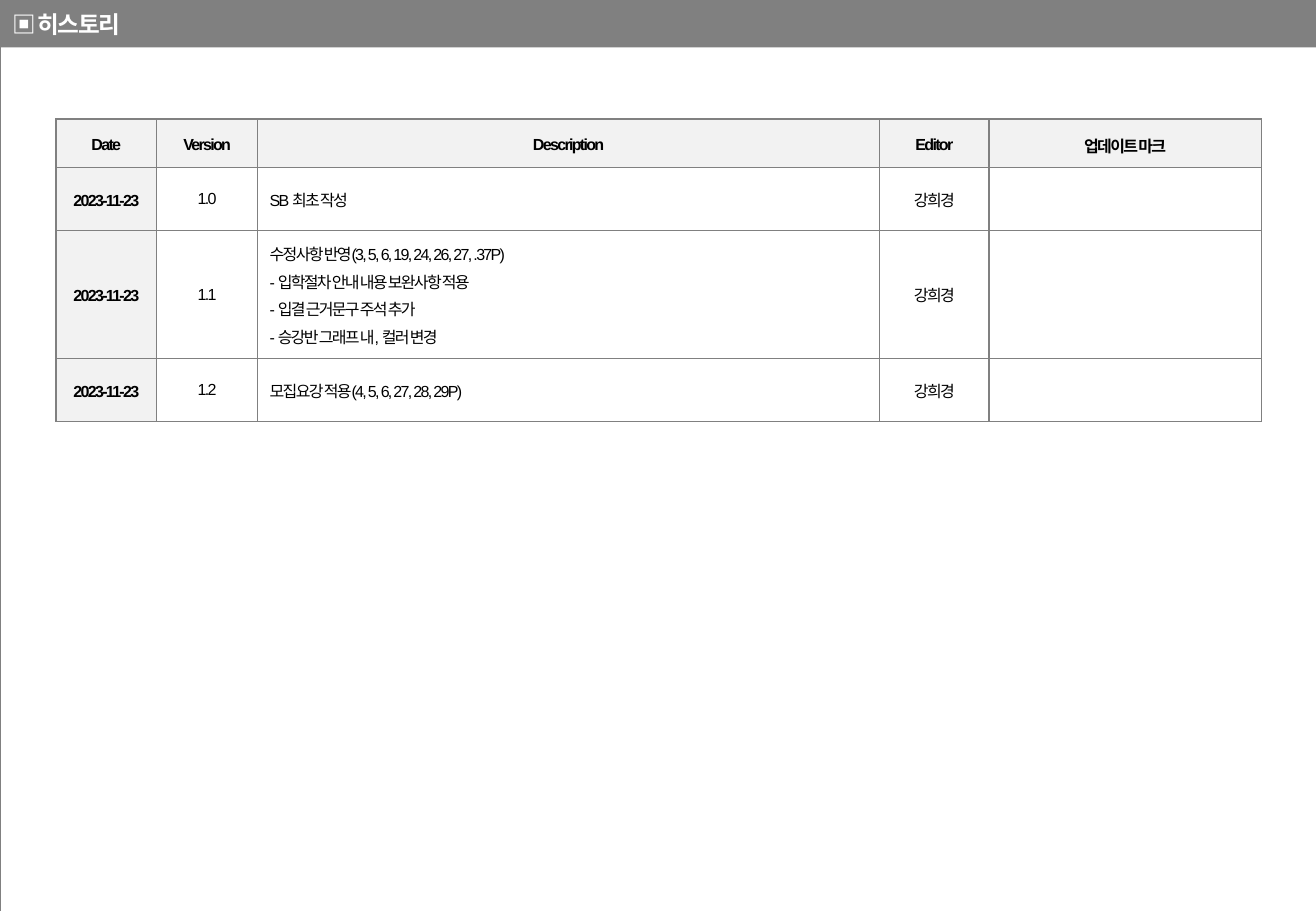
"""Build the revision history slide."""
from dataclasses import dataclass
from typing import NamedTuple

from lxml import etree
from pptx import Presentation
from pptx import util as u
from pptx.dml.color import RGBColor
from pptx.enum import text
from pptx.oxml import ns


@dataclass(frozen=True)
class Theme:
    grey: str = "808080"
    header: str = "F2F2F2"
    white: str = "FFFFFF"
    black: str = "000000"
    latin: str = "Arial"
    korean: str = "Noto Sans CJK KR"
    title_size: float = 14
    body_size: float = 9.5
    spacing: int = -100


class Revision(NamedTuple):
    date: str
    version: str
    description: str
    editor: str
    mark: str = ""


class Grid(NamedTuple):
    left: float
    top: float
    cols: list[float]
    rows: list[float]
    border: float


THEME = Theme()
HEADER = Revision("Date", "Version", "Description", "Editor", "업데이트 마크")
REVISIONS = [
    Revision("2023-11-23", "1.0", "SB 최초 작성", "강희경"),
    Revision("2023-11-23", "1.1",
             "수정사항 반영(3, 5, 6, 19, 24, 26, 27, .37P)\n"
             "- 입학절차 안내 내용 보완사항 적용\n"
             "- 입결 근거문구 주석 추가\n"
             "- 승강반 그래프 내, 컬러 변경", "강희경"),
    Revision("2023-11-23", "1.2", "모집요강 적용(4, 5, 6, 27, 28, 29P)", "강희경"),
]
DESCRIPTION_COL = 2
FRAME = Grid(0, 0, [10.84], [7.51], 0.25)
HISTORY = Grid(0.46, 0.98, [0.83, 0.83, 5.12, 0.9, 2.24], [0.4, 0.52, 1.04, 0.52], 1)


def rgb(color: str) -> RGBColor:
    """Turn a hex string into a colour."""
    return RGBColor.from_string(color)


def format_runs(tf, size: float, color: str, bold: bool, latin: str) -> None:
    """Apply font, size, colour and letter spacing to every run."""
    for p in tf.paragraphs:
        for r in p.runs:
            r.font.size = u.Pt(size)
            r.font.bold = bold
            r.font.name = latin
            r.font.color.rgb = rgb(color)
            rPr = r.font._element
            rPr.set("spc", str(THEME.spacing))
            ea = etree.Element(ns.qn("a:ea"), typeface=THEME.korean)
            rPr.find(ns.qn("a:latin")).addnext(ea)


def add_borders(cell, width: float) -> None:
    """Draw a grey line on each side of a cell."""
    tcPr = cell._tc.get_or_add_tcPr()
    for side in ("lnL", "lnR", "lnT", "lnB"):
        ln = etree.SubElement(tcPr, ns.qn(f"a:{side}"), w=str(u.Pt(width)))
        fill = etree.SubElement(ln, ns.qn("a:solidFill"))
        etree.SubElement(fill, ns.qn("a:srgbClr"), val=THEME.grey)


def add_grid(s, grid: Grid):
    """Add a plain bordered table and return it."""
    frame = s.shapes.add_table(
        len(grid.rows), len(grid.cols), u.Inches(grid.left), u.Inches(grid.top),
        u.Inches(sum(grid.cols)), u.Inches(sum(grid.rows)))
    table = frame.table
    table.first_row = table.horz_banding = False
    for col, width in zip(table.columns, grid.cols):
        col.width = u.Inches(width)
    for row, height in zip(table.rows, grid.rows):
        row.height = u.Inches(height)
    for cell in table.iter_cells():
        add_borders(cell, grid.border)
        cell.fill.background()
    return table


def fill_history(table) -> None:
    """Write the header and the revisions into the table."""
    for i, revision in enumerate([HEADER, *REVISIONS]):
        for j, value in enumerate(revision):
            cell = table.cell(i, j)
            shaded = i == 0 or j == 0
            cell.fill.solid()
            cell.fill.fore_color.rgb = rgb(THEME.header if shaded else THEME.white)
            cell.vertical_anchor = text.MSO_ANCHOR.MIDDLE
            cell.margin_bottom = u.Inches(0.05 if shaded else 0.08)
            tf = cell.text_frame
            tf.text = value
            left = i > 0 and j == DESCRIPTION_COL
            for p in tf.paragraphs:
                p.alignment = text.PP_ALIGN.LEFT if left else text.PP_ALIGN.CENTER
                p.line_spacing = 1.2
            format_runs(tf, THEME.body_size, THEME.black, shaded, THEME.latin)


def format_title(sp) -> None:
    """Turn the title placeholder into the grey bar on top."""
    sp.left, sp.top = u.Inches(0), u.Inches(0)
    sp.width, sp.height = u.Inches(10.83), u.Inches(0.39)
    sp.fill.solid()
    sp.fill.fore_color.rgb = rgb(THEME.grey)
    tf = sp.text_frame
    tf.text = "▣ 히스토리"
    tf.word_wrap = True
    tf.auto_size = text.MSO_AUTO_SIZE.NONE
    tf.vertical_anchor = text.MSO_ANCHOR.MIDDLE
    tf.paragraphs[0].alignment = text.PP_ALIGN.LEFT
    format_runs(tf, THEME.title_size, THEME.white, True, THEME.korean)


def main() -> None:
    """Create the slide and save it."""
    prs = Presentation()
    prs.slide_width, prs.slide_height = u.Inches(10.83), u.Inches(7.5)
    s = prs.slides.add_slide(prs.slide_layouts[5])
    add_grid(s, FRAME)
    title = s.shapes.title
    format_title(title)
    title.element.getparent().append(title.element)
    fill_history(add_grid(s, HISTORY))
    prs.save("out.pptx")


if __name__ == "__main__":
    main()
